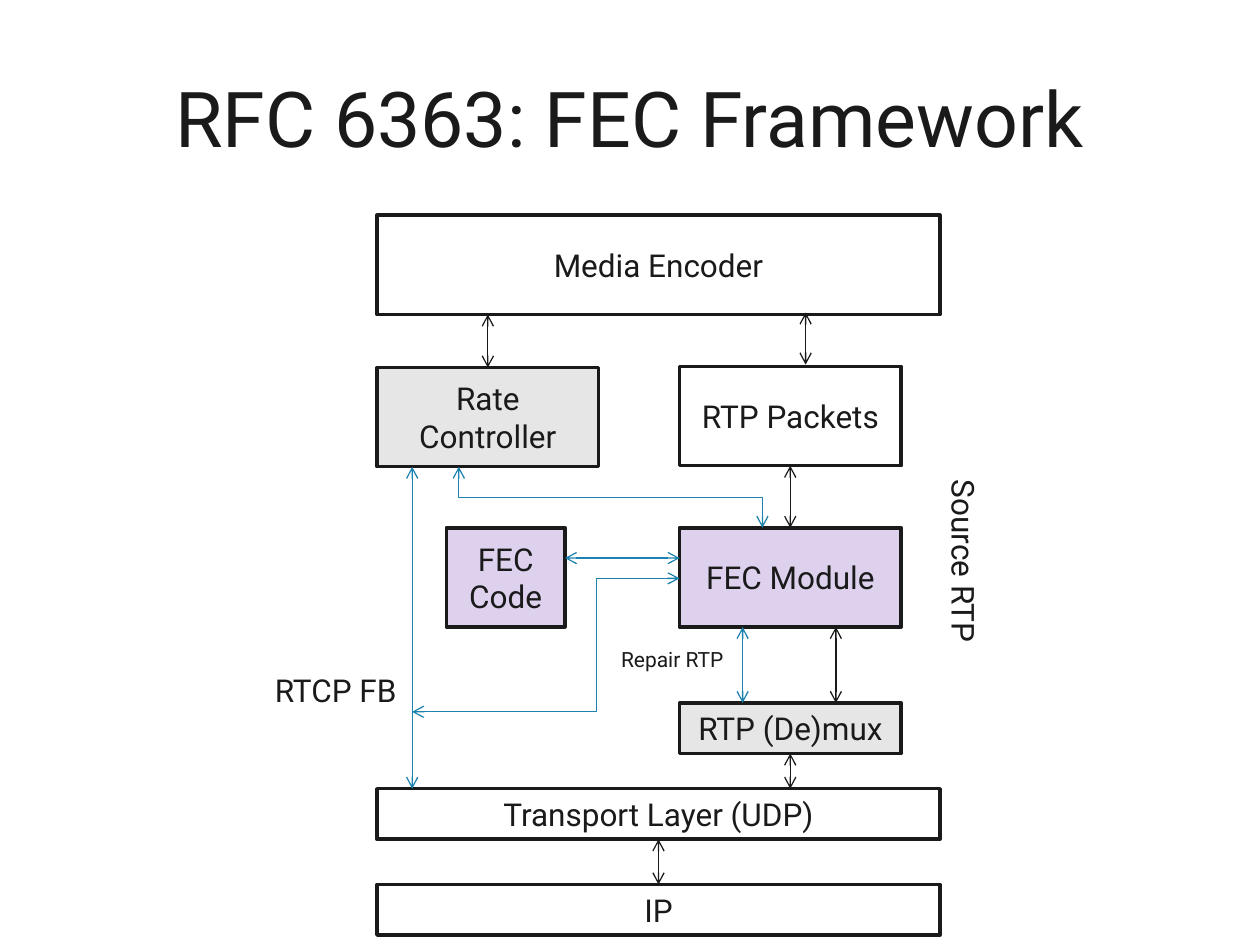
from dataclasses import dataclass

from lxml.etree import SubElement
from pptx import Presentation
from pptx.dml.color import RGBColor
from pptx.enum.shapes import MSO_CONNECTOR, MSO_SHAPE
from pptx.enum.text import MSO_ANCHOR, PP_ALIGN
from pptx.oxml.ns import qn
from pptx.util import Cm, Pt


@dataclass(frozen=True)
class Theme:
    font: str = "Roboto"
    ink: str = "1A1A1A"
    flow: str = "191919"
    control: str = "1C82AF"
    white: str = "FFFFFF"
    grey: str = "E6E6E6"
    lilac: str = "DDD1ED"
    title: int = 44
    body: int = 18
    small: int = 12
    border: float = 2
    thin: float = 0.75


THEME = Theme()


def rgb(value):
    return RGBColor.from_string(value)


def apply(obj, **values):
    for name, value in values.items():
        setattr(obj, name, value)


def write(sp, text, size, align=PP_ALIGN.CENTER, wrap=True, anchor=MSO_ANCHOR.MIDDLE):
    tf = sp.text_frame
    apply(tf, word_wrap=wrap, vertical_anchor=anchor)
    p = tf.paragraphs[0]
    p.alignment = align
    r = p.add_run()
    r.text = text
    apply(r.font, name=THEME.font, size=Pt(size))
    r.font.color.rgb = rgb(THEME.ink)


def add_block(s, text, x, y, w, h, fill):
    sp = s.shapes.add_shape(MSO_SHAPE.RECTANGLE, Cm(x), Cm(y), Cm(w), Cm(h))
    sp.shadow.inherit = False
    sp.fill.solid()
    sp.fill.fore_color.rgb = rgb(fill)
    sp.line.color.rgb = rgb(THEME.ink)
    sp.line.width = Pt(THEME.border)
    write(sp, text, THEME.body)


def add_label(s, text, x, y, w, h, size, rotation=0):
    sp = s.shapes.add_textbox(Cm(x), Cm(y), Cm(w), Cm(h))
    sp.rotation = rotation
    write(sp, text, size, PP_ALIGN.LEFT, False, MSO_ANCHOR.TOP)


def add_arrow(s, x1, y1, x2, y2, color, kind=MSO_CONNECTOR.STRAIGHT):
    """Connector with an open arrowhead at both ends."""
    cxn = s.shapes.add_connector(kind, Cm(x1), Cm(y1), Cm(x2), Cm(y2))
    cxn.line.color.rgb = rgb(color)
    cxn.line.width = Pt(THEME.thin)
    ln = cxn.line._get_or_add_ln()
    for end in ("a:headEnd", "a:tailEnd"):
        SubElement(ln, qn(end), type="arrow")
    SubElement(cxn._element.spPr, qn("a:effectLst"))
    return cxn


def add_elbow(s, x1, y1, x2, y2, color, bend=0.5, upright=False):
    """Elbow whose bend is a share of its run; upright starts vertically."""
    if upright:
        cx, cy = (x1 + x2) / 2, (y1 + y2) / 2
        dx, dy = (x2 - x1) / 2, (y2 - y1) / 2
        x1, y1, x2, y2 = cx + dy, cy - dx, cx - dy, cy + dx
    cxn = add_arrow(s, x1, y1, x2, y2, color, MSO_CONNECTOR.ELBOW)
    spPr = cxn._element.spPr
    if upright:
        spPr.find(qn("a:xfrm")).set("rot", str(270 * 60000))
    geom = spPr.find(qn("a:prstGeom"))
    guides = geom.find(qn("a:avLst"))
    if guides is None:
        guides = SubElement(geom, qn("a:avLst"))
    SubElement(guides, qn("a:gd"), name="adj1", fmla=f"val {round(bend * 100000)}")


def add_title(s, x, y, w, h):
    sp = s.shapes.add_textbox(Cm(x), Cm(y), Cm(w), Cm(h))
    write(sp, "RFC 6363: FEC Framework", THEME.title)


def add_stack(s, x, y, w):
    """Protocol stack, with every part placed from the top left corner."""
    t = THEME
    tall, low, half = 2.0, 1.02, 4.47
    right = 6.1
    rate, packets, fec, demux, udp, ip = 3.07, 3.05, 6.3, 9.83, 11.56, 13.49

    # Blocks
    blocks = [
        ("Media Encoder", 0, 0, w, tall, t.white),
        ("Rate Controller", 0, rate, half, tall, t.grey),
        ("RTP Packets", right, packets, half, tall, t.white),
        ("FEC Code", 1.4, fec, 2.39, tall, t.lilac),
        ("FEC Module", right, fec, half, tall, t.lilac),
        ("RTP (De)mux", right, demux, half, low, t.grey),
        ("Transport Layer (UDP)", 0, udp, w, low, t.white),
        ("IP", 0, ip, w, low, t.white),
    ]
    for text, bx, by, bw, bh, fill in blocks:
        add_block(s, text, x + bx, y + by, bw, bh, fill)

    # Vertical arrows
    feedback, main = 0.71, 8.33
    verticals = [
        (half / 2, tall, rate, t.flow),
        (8.64, tall - 0.04, packets - 0.04, t.flow),
        (main, packets + tall, fec, t.flow),
        (7.37, fec + tall, demux, t.control),
        (9.25, fec + tall, demux, t.flow),
        (main, demux + low, udp, t.flow),
        (w / 2, udp + low, ip, t.flow),
        (feedback, rate + tall, udp, t.control),
    ]
    for ax, top, bottom, color in verticals:
        add_arrow(s, x + ax, y + top, x + ax, y + bottom, color)

    # Control links to the FEC module
    code_y = y + 6.91
    add_arrow(s, x + 3.79, code_y, x + right, code_y, t.control)
    add_elbow(s, x + 1.65, y + rate + tall, x + 7.77, y + fec, t.control, upright=True)
    add_elbow(s, x + right, y + 7.32, x + feedback, y + 10.01, t.control, bend=0.31)

    # Labels
    add_label(s, "Repair RTP", x + 4.67, y + 8.56, 2.79, 0.76, t.small)
    add_label(s, "RTCP FB", x - 2.31, y + 9.07, 3.2, low, t.body)
    add_label(s, "Source RTP", x + 9.78, y + 6.63, 4.11, low, t.body, rotation=90)


def main():
    prs = Presentation()
    apply(prs, slide_width=Cm(25.4), slide_height=Cm(19.05))
    s = prs.slides.add_slide(prs.slide_layouts[6])
    add_title(s, 1.27, 0.76, 22.86, 3.18)
    add_stack(s, 7.6, 4.34, 11.35)
    prs.save("out.pptx")


if __name__ == "__main__":
    main()
